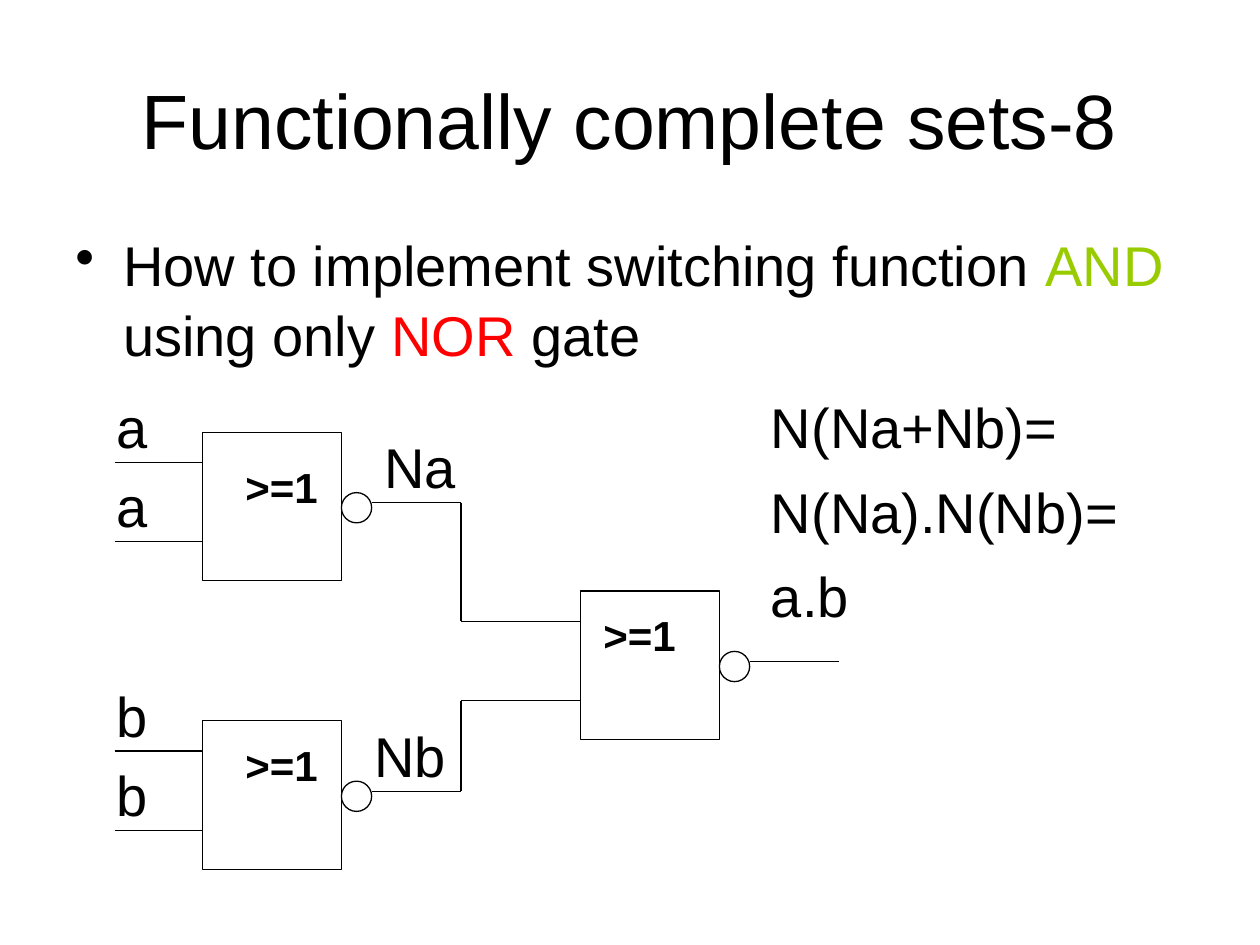
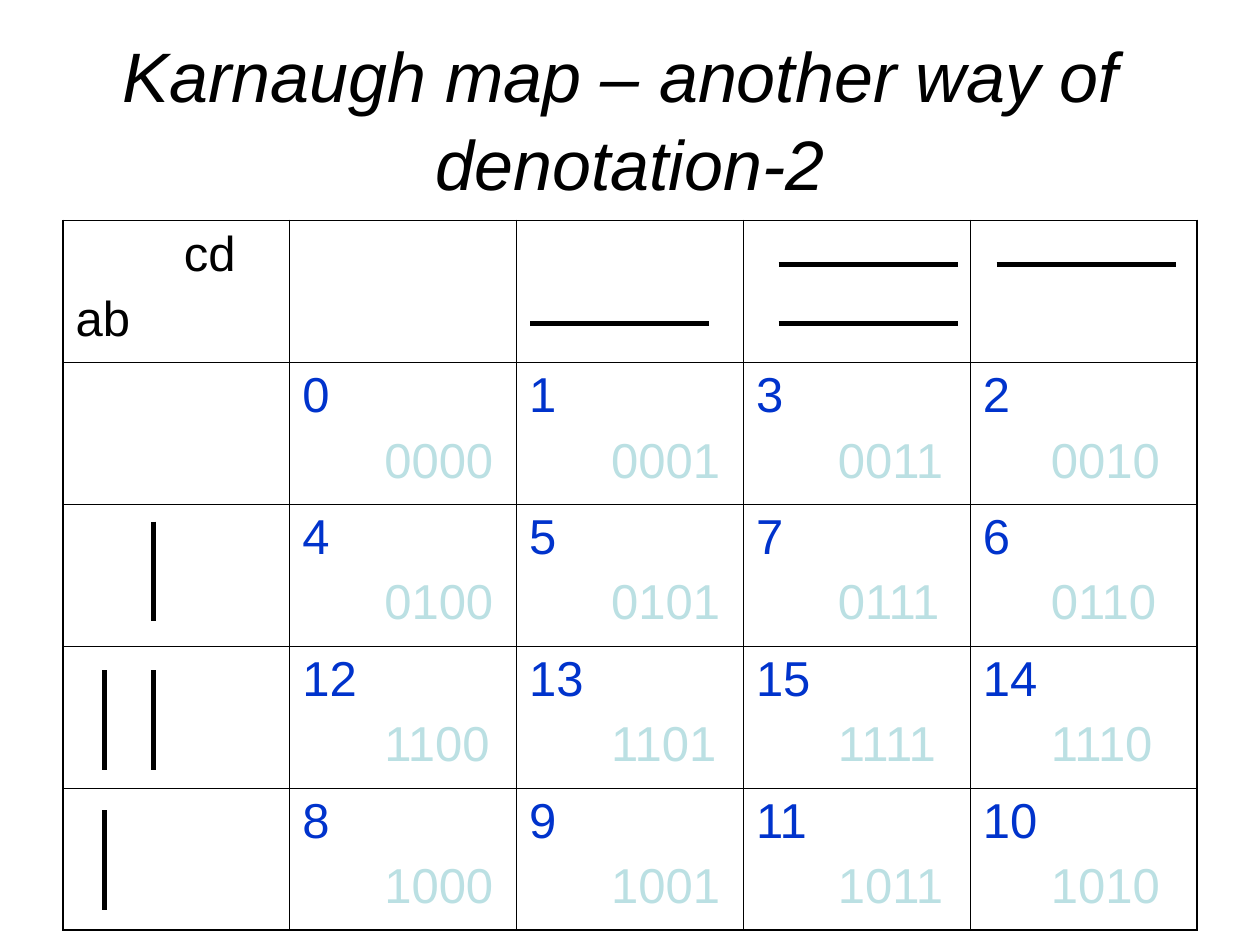
from dataclasses import dataclass
from typing import NamedTuple

from lxml import etree
from pptx import Presentation
from pptx.dml.color import RGBColor
from pptx.enum.shapes import MSO_CONNECTOR, MSO_SHAPE
from pptx.enum.text import MSO_ANCHOR, MSO_AUTO_SIZE, PP_ALIGN
from pptx.oxml.ns import qn
from pptx.util import Inches, Pt

STRAIGHT = MSO_CONNECTOR.STRAIGHT
RECTANGLE, OVAL = MSO_SHAPE.RECTANGLE, MSO_SHAPE.OVAL
MIDDLE, CENTER = MSO_ANCHOR.MIDDLE, PP_ALIGN.CENTER
GROW = MSO_AUTO_SIZE.SHAPE_TO_FIT_TEXT

BLACK = RGBColor(0x00, 0x00, 0x00)
GREEN = RGBColor(0x99, 0xCC, 0x00)
RED = RGBColor(0xFF, 0x00, 0x00)
BLUE = RGBColor(0x00, 0x33, 0xCC)
PALE = RGBColor(0xBB, 0xE0, 0xE3)

FONT = "Arial"
LINE_SPACING = 1.05
THIN, THICK = 0.75, 3

# Gate geometry, relative to the gate's top-left corner
GATE_WIDTH, GATE_HEIGHT = 1.1, 1.18
BUBBLE, BUBBLE_TOP = 0.24, 0.48
INPUT_OFFSETS = (0.24, 0.87)
OUTPUT_OFFSET = 0.56
OUTPUT_START, OUTPUT_END = 1.34, 2.05
NAME_RISE = 0.63
BUS_X = 3.66

# Karnaugh map geometry
MAP_LEFT, MAP_TOP, CELL_WIDTH, CELL_HEIGHT = 0.5, 1.75, 1.8, 1.126
GRAY_ORDER = (0, 1, 3, 2)
OUTER_BORDER, INNER_BORDER = 1.08, 0.45
BAR_WIDTH, BAR_HEIGHT = 1.42, 0.79
C_BAR_Y, D_BAR_Y = 2.1, 2.57
A_BAR_X, B_BAR_X = 0.83, 1.22


class Span(NamedTuple):
    text: str
    color: RGBColor = BLACK


class Bar(NamedTuple):
    left: float
    top: float
    width: float = 0
    height: float = 0


@dataclass(frozen=True)
class Gate:
    left: float
    top: float
    input_start: float
    label_dx: float
    label_dy: float
    input_name: str = ""
    output_name: str = ""
    output_name_left: float = 0


GATES = (
    Gate(1.61, 3.43, 0.91, 0.24, 0.16, "a", "Na", 2.95),
    Gate(1.61, 5.72, 0.91, 0.24, 0.08, "b", "Nb", 2.87),
    Gate(4.61, 4.69, BUS_X, 0.08, 0.08),
)

BARS = (
    Bar(B_BAR_X, 4.14, height=BAR_HEIGHT),
    Bar(B_BAR_X, 5.32, height=BAR_HEIGHT),
    Bar(A_BAR_X, 5.32, height=BAR_HEIGHT),
    Bar(A_BAR_X, 6.43, height=BAR_HEIGHT),
    Bar(4.21, D_BAR_Y, width=BAR_WIDTH),
    Bar(6.18, D_BAR_Y, width=BAR_WIDTH),
    Bar(6.18, C_BAR_Y, width=BAR_WIDTH),
    Bar(7.91, C_BAR_Y, width=BAR_WIDTH),
)


def style_font(para, size: float, color: RGBColor = BLACK) -> None:
    para.font.name = FONT
    para.font.size = Pt(size)
    para.font.color.rgb = color


def add_text(page, left: float, top: float, width: float, height: float,
             lines: list[str], size: float, space: float = 0, wrap: bool = True):
    """Add a text box with one paragraph per line and return its frame."""
    box = page.shapes.add_textbox(Inches(left), Inches(top), Inches(width), Inches(height))
    frame = box.text_frame
    frame.word_wrap = wrap
    for index, line in enumerate(lines):
        para = frame.add_paragraph() if index else frame.paragraphs[0]
        para.text = line
        para.space_before = Pt(space)
        para.line_spacing = LINE_SPACING
        style_font(para, size)
    return frame


def add_label(page, left: float, top: float, width: float, height: float,
              lines: list[str], size: float = 32, space: float = 8, wrap: bool = True):
    frame = add_text(page, left, top, width, height, lines, size, space, wrap)
    frame.auto_size = GROW
    return frame


def add_title(page, text: str, size: float, italic: bool = False) -> None:
    frame = add_text(page, 0.5, 0.3, 9, 1.25, [text], size)
    frame.vertical_anchor = MIDDLE
    para = frame.paragraphs[0]
    para.alignment = CENTER
    para.font.italic = italic


def add_bullet(page, spans: list[Span]) -> None:
    frame = add_text(page, 0.5, 1.75, 9, 4.95, [""], 32, 8)
    para = frame.paragraphs[0]
    for span in spans:
        run = para.add_run()
        run.text = span.text
        run.font.color.rgb = span.color
    properties = para._p.get_or_add_pPr()
    properties.set("marL", str(Inches(0.38)))
    properties.set("indent", str(Inches(-0.38)))
    bullet = etree.Element(qn("a:buChar"), char="•")
    properties.find(qn("a:defRPr")).addprevious(bullet)


def add_line(page, x1: float, y1: float, x2: float, y2: float, weight: float = THIN) -> None:
    line = page.shapes.add_connector(STRAIGHT, Inches(x1), Inches(y1), Inches(x2), Inches(y2))
    line.line.color.rgb = BLACK
    line.line.width = Pt(weight)
    etree.SubElement(line._element.spPr, qn("a:effectLst"))


def add_outline(page, kind, left: float, top: float, width: float, height: float) -> None:
    shape = page.shapes.add_shape(kind, Inches(left), Inches(top), Inches(width), Inches(height))
    shape.shadow.inherit = False
    shape.fill.background()
    shape.line.color.rgb = BLACK
    shape.line.width = Pt(THIN)


def add_gate(page, gate: Gate) -> None:
    """Draw a NOR gate with its two inputs, its output and their names."""
    add_outline(page, RECTANGLE, gate.left, gate.top, GATE_WIDTH, GATE_HEIGHT)
    add_outline(page, OVAL, gate.left + GATE_WIDTH, gate.top + BUBBLE_TOP, BUBBLE, BUBBLE)
    label = add_label(page, gate.left + gate.label_dx, gate.top + gate.label_dy,
                      0.94, 0.5, [">=1"], 24, 15)
    label.paragraphs[0].font.bold = True
    for offset in INPUT_OFFSETS:
        y = gate.top + offset
        add_line(page, gate.input_start, y, gate.left, y)
        if gate.input_name:
            add_label(page, 0.83, y - NAME_RISE, 0.45, 0.64, [gate.input_name], wrap=False)
    y = gate.top + OUTPUT_OFFSET
    add_line(page, gate.left + OUTPUT_START, y, gate.left + OUTPUT_END, y)
    if gate.output_name:
        add_label(page, gate.output_name_left, y - NAME_RISE, 0.79, 0.64, [gate.output_name])


def set_borders(cell, row: int, column: int, last: int) -> None:
    """Give the cell thin inner borders and a heavier edge on the table's rim."""
    properties = cell._tc.get_or_add_tcPr()
    rims = {"a:lnL": column == 0, "a:lnR": column == last,
            "a:lnT": row == 0, "a:lnB": row == last}
    for tag, is_rim in rims.items():
        weight = Pt(OUTER_BORDER if is_rim else INNER_BORDER)
        border = etree.SubElement(properties, qn(tag), w=str(weight))
        fill = etree.SubElement(border, qn("a:solidFill"))
        etree.SubElement(fill, qn("a:srgbClr"), val=str(BLACK))


def fill_cell(cell, first: Span, second: Span, first_indent: float, second_indent: float) -> None:
    frame = cell.text_frame
    paras = (frame.paragraphs[0], frame.add_paragraph())
    for para, span, indent in zip(paras, (first, second), (first_indent, second_indent)):
        para.text = span.text
        para.space_before = Pt(6)
        style_font(para, 28, span.color)
        para._p.get_or_add_pPr().set("marL", str(Inches(indent)))


def add_karnaugh_map(page) -> None:
    count = len(GRAY_ORDER) + 1
    frame = page.shapes.add_table(count, count, Inches(MAP_LEFT), Inches(MAP_TOP),
                                  Inches(CELL_WIDTH * count), Inches(CELL_HEIGHT * count))
    table = frame.table
    table.first_row = table.horz_banding = False
    for row in range(count):
        for column in range(count):
            cell = table.cell(row, column)
            set_borders(cell, row, column, count - 1)
            cell.fill.background()
            if row and column:
                number = 4 * GRAY_ORDER[row - 1] + GRAY_ORDER[column - 1]
                code_indent = 0.54 if column == count - 1 else 0.65
                fill_cell(cell, Span(str(number), BLUE), Span(f"{number:04b}", PALE),
                          0, code_indent)
    fill_cell(table.cell(0, 0), Span("cd"), Span("ab"), 0.86, 0)


def build_nor_slide(page) -> None:
    add_title(page, "Functionally complete sets-8", 44)
    add_bullet(page, [Span("How to implement switching function "), Span("AND", GREEN),
                      Span(" using only "), Span("NOR", RED), Span(" gate")])
    for gate in GATES:
        add_gate(page, gate)
    final_gate = GATES[-1]
    for source, offset in zip(GATES, INPUT_OFFSETS):
        add_line(page, BUS_X, source.top + OUTPUT_OFFSET, BUS_X, final_gate.top + offset)
    add_label(page, 6.02, 3.04, 3.39, 1.93, ["N(Na+Nb)=", "N(Na).N(Nb)=", "a.b"])


def build_map_slide(page) -> None:
    add_title(page, "Karnaugh map – another way of \vdenotation-2", 40, italic=True)
    add_karnaugh_map(page)
    for bar in BARS:
        add_line(page, bar.left, bar.top, bar.left + bar.width, bar.top + bar.height, THICK)


def main() -> None:
    deck = Presentation()
    deck.slide_width, deck.slide_height = Inches(10), Inches(7.5)
    blank = deck.slide_layouts[6]
    for build in (build_nor_slide, build_map_slide):
        build(deck.slides.add_slide(blank))
    deck.save("out.pptx")


if __name__ == "__main__":
    main()
